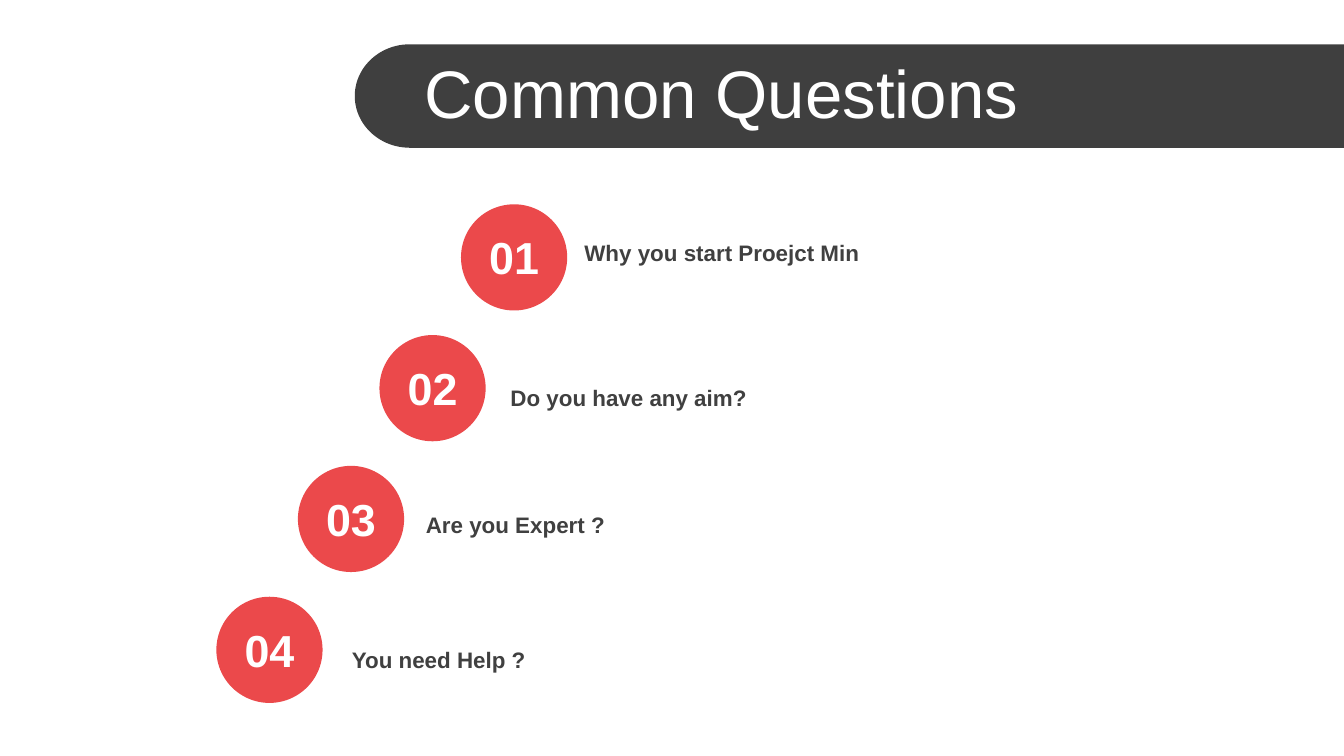
from dataclasses import dataclass
from math import cos, pi, sin

from pptx import Presentation
from pptx.dml.color import RGBColor
from pptx.enum.shapes import MSO_SHAPE
from pptx.enum.text import MSO_ANCHOR, PP_ALIGN
from pptx.shapes.autoshape import Shape
from pptx.slide import Slide
from pptx.util import Inches, Pt

CHARCOAL = RGBColor(0x3F, 0x3F, 0x3F)
TEXT_GRAY = RGBColor(0x40, 0x40, 0x40)
RED = RGBColor(0xEB, 0x49, 0x4B)
WHITE = RGBColor(0xFF, 0xFF, 0xFF)

TITLE_FORMAT = {"size": Pt(36), "bold": False}
NUMBER_FORMAT = {"size": Pt(24), "bold": True}
QUESTION_FORMAT = {"size": Pt(12), "bold": True}

PAGE_WIDTH = 10
PAGE_HEIGHT = PAGE_WIDTH * 9 / 16
CIRCLE_SIZE = 0.79
FIRST_LEFT, FIRST_TOP = 3.43, 1.52
LAST_LEFT, LAST_TOP = 1.61, 4.44


@dataclass(frozen=True)
class Question:
    """A question and the place of its text box, in inches."""
    text: str
    left: float
    top: float


QUESTIONS = [
    Question("Why you start Proejct Min", 4.25, 1.73),
    Question("Do you have any aim?", 3.7, 2.81),
    Question("Are you Expert ?", 3.07, 3.75),
    Question("You need Help ?", 2.52, 4.76),
]


def paint(shape: Shape, color: RGBColor) -> None:
    """Give a shape a flat fill without line or shadow."""
    shape.fill.solid()
    shape.fill.fore_color.rgb = color
    shape.line.fill.background()
    shape.shadow.inherit = False


def add_text(page: Slide, text: str, left: float, top: float, width: float,
             height: float, color: RGBColor, font_format: dict,
             align: PP_ALIGN = PP_ALIGN.LEFT) -> None:
    """Add a wrapped, vertically centred line of text."""
    box = page.shapes.add_textbox(
        Inches(left), Inches(top), Inches(width), Inches(height))
    frame = box.text_frame
    frame.word_wrap = True
    frame.vertical_anchor = MSO_ANCHOR.MIDDLE
    para = frame.paragraphs[0]
    para.alignment = align
    span = para.add_run()
    span.text = text
    span.font.name = "Arial"
    span.font.color.rgb = color
    for name, value in font_format.items():
        setattr(span.font, name, value)


def add_banner(page: Slide) -> None:
    """Draw the title band, rounded on the left and flush on the right."""
    top, bottom = 0.33, 1.1
    center_x, radius_x = 3.05, 0.41
    center_y, radius_y = (top + bottom) / 2, (bottom - top) / 2
    steps = 48
    angles = [pi / 2 + pi * step / steps for step in range(steps + 1)]
    arc = [(center_x + radius_x * cos(angle), center_y + radius_y * sin(angle))
           for angle in angles]
    outline = [(PAGE_WIDTH, top), (PAGE_WIDTH, bottom), *arc]
    points = [(Inches(x), Inches(y)) for x, y in outline]
    builder = page.shapes.build_freeform(*points[0])
    builder.add_line_segments(points[1:], close=True)
    paint(builder.convert_to_shape(), CHARCOAL)


def add_question(page: Slide, index: int, question: Question) -> None:
    """Draw one numbered circle with its question."""
    progress = index / (len(QUESTIONS) - 1)
    left = FIRST_LEFT + progress * (LAST_LEFT - FIRST_LEFT)
    top = FIRST_TOP + progress * (LAST_TOP - FIRST_TOP)
    circle = page.shapes.add_shape(
        MSO_SHAPE.OVAL, Inches(left), Inches(top),
        Inches(CIRCLE_SIZE), Inches(CIRCLE_SIZE))
    paint(circle, RED)
    add_text(page, question.text, question.left, question.top, 5.04, 0.3,
             TEXT_GRAY, QUESTION_FORMAT)
    add_text(page, f"{index + 1:02d}", left, top + 0.14, CIRCLE_SIZE, 0.5,
             WHITE, NUMBER_FORMAT, PP_ALIGN.CENTER)


def main() -> None:
    """Build and save the deck."""
    deck = Presentation()
    deck.slide_width = Inches(PAGE_WIDTH)
    deck.slide_height = Inches(PAGE_HEIGHT)
    page = deck.slides.add_slide(deck.slide_layouts[6])
    add_banner(page)
    add_text(page, "Common Questions", 3.06, 0.37, 6.94, 0.63,
             WHITE, TITLE_FORMAT)
    for index, question in enumerate(QUESTIONS):
        add_question(page, index, question)
    deck.save("out.pptx")


main()
